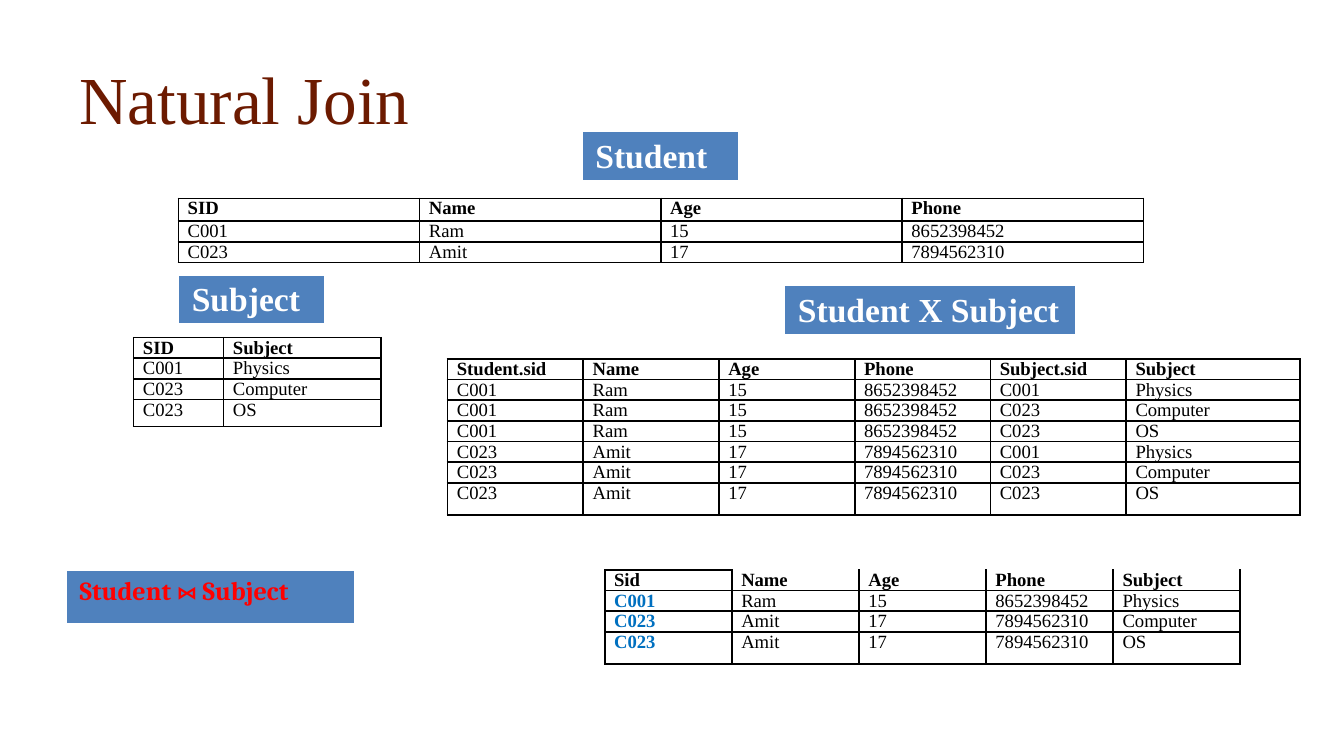
import itertools
import lxml.etree
import pptx
import pptx.dml.color
import pptx.enum.text
import pptx.oxml.ns
import pptx.util

COLS, ROWS = 100, 56.25
BLACK, WHITE, BLUE, SKY, RED, BROWN = "000000", "FFFFFF", "4F81BD", "0070C0", "FF0000", "6C1A00"


def rgb(value):
    return pptx.dml.color.RGBColor.from_string(value)


class Deck:
    font = "Times New Roman"

    def __init__(self, width):
        self.prs = pptx.Presentation()
        self.prs.slide_width = pptx.util.Inches(width)
        self.prs.slide_height = pptx.util.Inches(width * 9 / 16)
        self.s = self.prs.slides.add_slide(self.prs.slide_layouts[5])

    def x(self, cols):
        return round(self.prs.slide_width * cols / COLS)

    def y(self, rows):
        return round(self.prs.slide_height * rows / ROWS)

    def text(self, tf, text, size, color, bold=False, font=None, gap=0):
        p = tf.paragraphs[0]
        p.alignment = pptx.enum.text.PP_ALIGN.LEFT
        p.space_before = p.space_after = pptx.util.Pt(gap)
        r = p.add_run()
        r.text = text
        style = {"size": pptx.util.Pt(size), "bold": bold, "name": font or self.font}
        for name, value in style.items():
            setattr(r.font, name, value)
        r.font.color.rgb = rgb(color)

    def title(self, text, left, top, width, height):
        sp = self.s.shapes.title
        box = {"left": self.x(left), "top": self.y(top),
               "width": self.x(width), "height": self.y(height)}
        for name, value in box.items():
            setattr(sp, name, value)
        sp.text_frame.vertical_anchor = pptx.enum.text.MSO_ANCHOR.MIDDLE
        self.text(sp.text_frame, text, 36, BROWN)

    def border(self, cell, color, widths):
        tcPr = cell._tc.get_or_add_tcPr()
        for side, width in widths.items():
            ln = lxml.etree.SubElement(tcPr, pptx.oxml.ns.qn("a:ln" + side),
                                       w=str(pptx.util.Pt(width)))
            fill = lxml.etree.SubElement(ln, pptx.oxml.ns.qn("a:solidFill"))
            lxml.etree.SubElement(fill, pptx.oxml.ns.qn("a:srgbClr"), val=color)

    def grid(self, left, top, widths, heights):
        frame = self.s.shapes.add_table(len(heights), len(widths), self.x(left), self.y(top),
                                        self.x(sum(widths)), self.y(sum(heights)))
        tbl = frame.table
        tbl.first_row = tbl.horz_banding = False
        for col, width in zip(tbl.columns, widths):
            col.width = self.x(width)
        for row, height in zip(tbl.rows, heights):
            row.height = self.y(height)
        return tbl

    def fill(self, cell, color):
        cell.fill.solid()
        cell.fill.fore_color.rgb = rgb(color)

    def banner(self, text, left, top, width, height=3.5, size=18, color=WHITE, **style):
        cell = self.grid(left, top, [width], [height]).cell(0, 0)
        self.border(cell, WHITE, {"L": 1, "R": 1, "T": 1, "B": 3})
        self.fill(cell, BLUE)
        self.text(cell.text_frame, text, size, color, True, **style)

    def table(self, data, left, top, widths, heights, gap=6, key=None, open_top=False):
        tbl = self.grid(left, top, widths, heights)
        for (i, row), j in itertools.product(enumerate(data), range(len(widths))):
            cell = tbl.cell(i, j)
            margins = {"margin_left": 0.07, "margin_right": 0.07,
                       "margin_top": 0, "margin_bottom": 0}
            for name, value in margins.items():
                setattr(cell, name, pptx.util.Inches(value))
            sides = "LRB" if open_top and i == 0 and j else "LRTB"
            self.border(cell, BLACK, dict.fromkeys(sides, 1))
            self.fill(cell, WHITE)
            is_key = bool(key) and i > 0 and j == 0
            self.text(cell.text_frame, row[j], 10, key if is_key else BLACK,
                      i == 0 or is_key, gap=gap)


students = [("C001", "Ram", "15", "8652398452"), ("C023", "Amit", "17", "7894562310")]
subjects = [("C001", "Physics"), ("C023", "Computer"), ("C023", "OS")]
pairs = list(itertools.product(students, subjects))
product = [student + subject for student, subject in pairs]
joined = [student + subject[1:] for student, subject in pairs if student[0] == subject[0]]
details = ("Name", "Age", "Phone")

deck = Deck(10)
deck.title("Natural Join", 4.9, 3.1, 90.2, 8.4)
deck.table([("SID", *details), *students], 13.27, 14.76, [17.95] * 4, [1.7, 1.5, 1.5])
deck.banner("Student", 43.3, 9.8, 11.7)
deck.table([("SID", "Subject"), *subjects], 9.94, 25.12, [6.7, 11.7], [1.54] * 3 + [2])
deck.banner("Subject", 13.27, 20.44, 10.9)
deck.banner("Student X Subject", 58.37, 21.24, 21.7)
deck.table([("Student.sid", *details, "Subject.sid", "Subject"), *product],
           33.3, 26.7, [10.1] * 5 + [12.95], [1.54] * 6 + [2.4], gap=0)
deck.banner("Student\u00a0\u22c8\u00a0Subject", 4.93, 42.43, 21.5, 4.1, 14, RED,
            font="Cambria", gap=6)
deck.table([("Sid", *details, "Subject"), *joined], 45, 42.4, [9.46] * 5,
           [1.54] * 3 + [2.4], key=SKY, open_top=True)
deck.prs.save("out.pptx")
